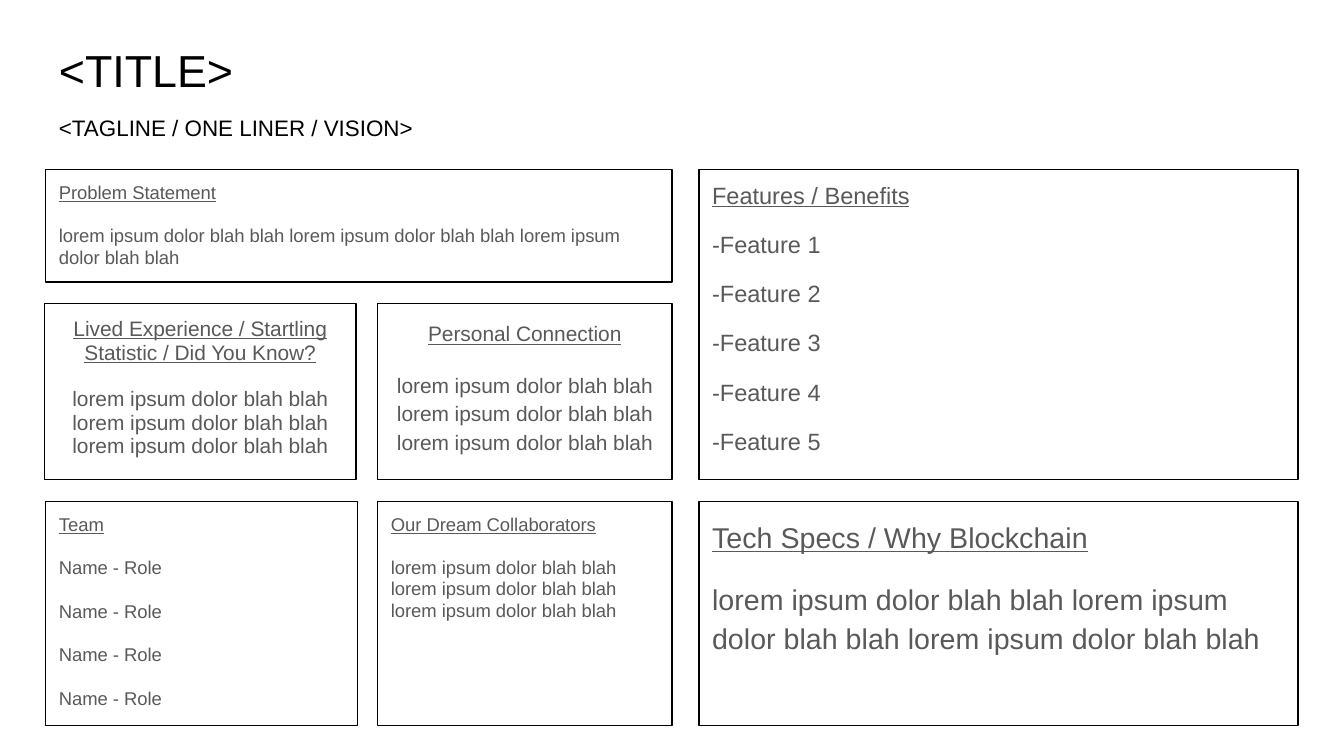
from dataclasses import dataclass
from pptx import Presentation
from pptx.dml.color import RGBColor
from pptx.enum import shapes, text
from pptx.util import Inches, Pt


@dataclass(frozen=True)
class Theme:
    font: str = "Arial"
    ink: RGBColor = RGBColor(0, 0, 0)
    body: RGBColor = RGBColor(0x59, 0x59, 0x59)
    title: float = 24
    tagline: float = 12
    small: float = 9.9
    medium: float = 11.2
    large: float = 12.6
    huge: float = 15.3
    tight: float = 0.95
    loose: float = 1.15
    gap: float = 12
    border: float = 0.75


theme = Theme()
LEFT, CENTER = text.PP_ALIGN.LEFT, text.PP_ALIGN.CENTER

# Content: heading, paragraphs, (column, row), size, line spacing, alignment
lorem = " ".join(["lorem ipsum dolor blah blah"] * 3)
headers = [
    ("<TITLE>", 0.2, 0.63, theme.title, text.MSO_ANCHOR.MIDDLE),
    ("<TAGLINE / ONE LINER / VISION>", 0.75, 0.35, theme.tagline, text.MSO_ANCHOR.TOP),
]
panels = [
    ("Problem Statement", [lorem], ("wide", "top"), theme.small, theme.tight, LEFT),
    ("Lived Experience / Startling Statistic / Did You Know?", [lorem],
     ("outer", "middle"), theme.medium, theme.tight, CENTER),
    ("Personal Connection", [lorem],
     ("second", "middle"), theme.medium, theme.loose, CENTER),
    ("Features / Benefits", [f"-Feature {n}" for n in range(1, 6)],
     ("right", "tall"), theme.large, theme.tight, LEFT),
    ("Team", ["Name - Role"] * 4, ("first", "bottom"), theme.small, theme.tight, LEFT),
    ("Our Dream Collaborators", [lorem],
     ("second", "bottom"), theme.small, theme.tight, LEFT),
    ("Tech Specs / Why Blockchain", [lorem],
     ("right", "bottom"), theme.huge, theme.loose, LEFT),
]

# Grid: start and extent of each column and row
columns = {"wide": (0.34, 4.66), "outer": (0.33, 2.32), "first": (0.34, 2.32),
           "second": (2.81, 2.19), "right": (5.2, 4.46)}
rows = {"top": (1.26, 0.84), "middle": (2.26, 1.31),
        "tall": (1.26, 2.31), "bottom": (3.73, 1.67)}

# Widescreen 16:9 page
deck = Presentation()
deck.slide_width = Inches(10)
deck.slide_height = Inches(10 * 9 / 16)
slide = deck.slides.add_slide(deck.slide_layouts[6])


def prepare(frame, anchor):
    frame.word_wrap = True
    frame.vertical_anchor = anchor
    frame.margin_left = frame.margin_right = Inches(0.1)
    frame.margin_top = frame.margin_bottom = Inches(0.1)


def write(paragraph, words, size, color):
    paragraph.text = words
    paragraph.font.name = theme.font
    paragraph.font.size = Pt(size)
    paragraph.font.color.rgb = color


# Title and tagline
for words, top, height, size, anchor in headers:
    header = slide.shapes.add_textbox(
        Inches(0.34), Inches(top), Inches(9.32), Inches(height))
    prepare(header.text_frame, anchor)
    write(header.text_frame.paragraphs[0], words, size, theme.ink)

# Outlined panels
for heading, lines, (column, row), size, spacing, alignment in panels:
    (left, width), (top, height) = columns[column], rows[row]
    panel = slide.shapes.add_shape(
        shapes.MSO_SHAPE.RECTANGLE,
        Inches(left), Inches(top), Inches(width), Inches(height))
    panel.shadow.inherit = False
    panel.fill.background()
    panel.line.color.rgb = theme.ink
    panel.line.width = Pt(theme.border)
    frame = panel.text_frame
    prepare(frame, text.MSO_ANCHOR.TOP)
    for i, words in enumerate([heading, *lines]):
        paragraph = frame.add_paragraph() if i else frame.paragraphs[0]
        write(paragraph, words, size, theme.body)
        paragraph.font.underline = i == 0
        paragraph.alignment = alignment
        paragraph.line_spacing = spacing
        paragraph.space_before = Pt(theme.gap if i else 0)

deck.save("out.pptx")
